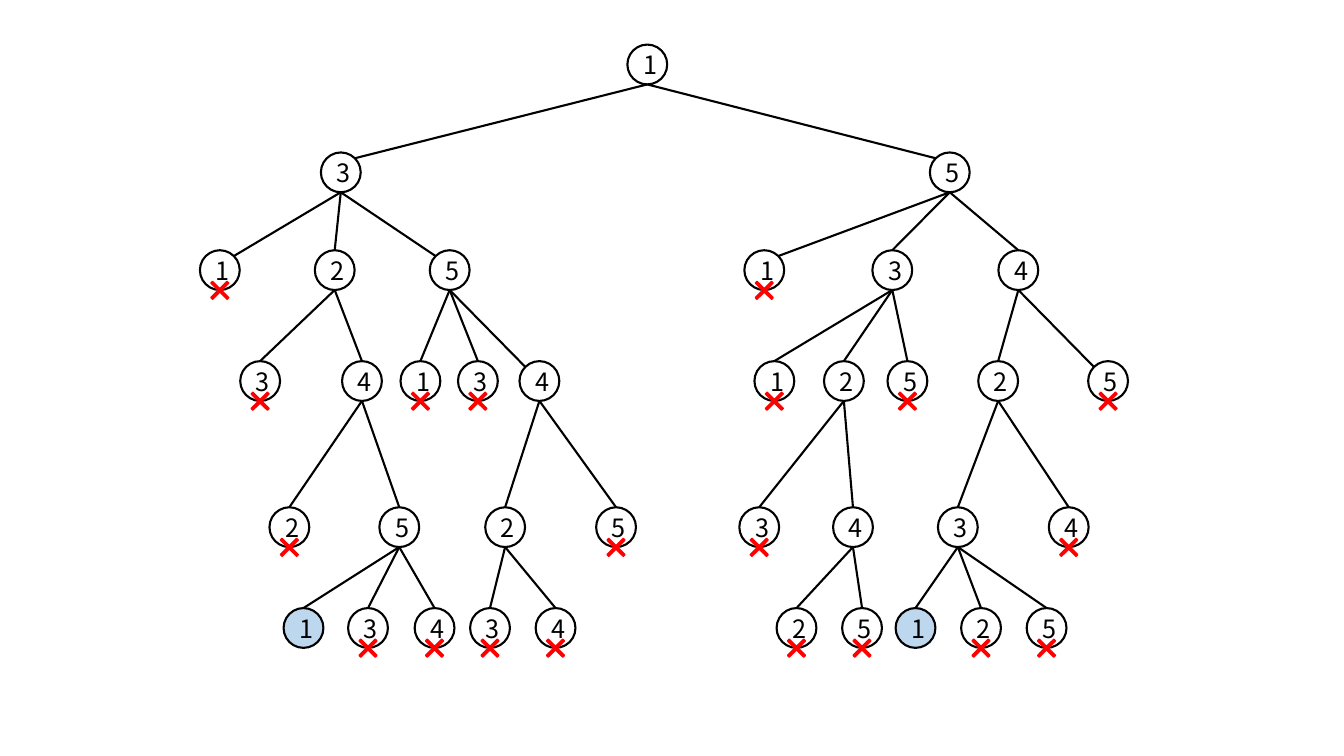
from dataclasses import dataclass
from math import sqrt

from lxml import etree
from pptx import Presentation
from pptx.dml.color import RGBColor
from pptx.enum.shapes import MSO_CONNECTOR, MSO_SHAPE
from pptx.enum.text import MSO_ANCHOR, PP_ALIGN
from pptx.oxml.ns import qn
from pptx.util import Inches, Pt

CIRCLE = MSO_SHAPE.OVAL
CROSS = MSO_SHAPE.MATH_MULTIPLY
STRAIGHT = MSO_CONNECTOR.STRAIGHT
MIDDLE = MSO_ANCHOR.MIDDLE
CENTER = PP_ALIGN.CENTER
TOP_SITE = 0
BLANK_LAYOUT = 6

# The page is a grid of square cells; every length below is in cells.
COLUMNS, ROWS = 133.3, 75
LEVEL_ROWS = (6.4, 17.1, 26.8, 37.8, 52.3, 62.3)
NODE_SIZE = 3.95
CROSS_SIZE = 3.1
CROSS_DROP = 2


@dataclass(frozen=True)
class Theme:
    font: str = "Noto Sans CJK KR"
    label_size: float = 18
    ink: str = "000000"
    paper: str = "FFFFFF"
    goal: str = "BDD7EE"
    pruned: str = "FF0000"
    line_width: float = 1.5
    cross_width: float = 1
    cross_thickness: float = 0.079


@dataclass
class Node:
    """A tree node; a diagonal one meets its link at 45 degrees, not at its top."""
    label: str
    column: float
    children: tuple = ()
    diagonal: bool = False


TREE = Node("1", 64.2, (
    Node("3", 33.8, (
        Node("1", 21.8, diagonal=True),
        Node("2", 33.2, (
            Node("3", 25.8),
            Node("4", 35.9, (
                Node("2", 28.7),
                Node("5", 39.6, (
                    Node("1", 30.1), Node("3", 36.5), Node("4", 43.1))),
            )),
        )),
        Node("5", 44.6, (
            Node("1", 41.7),
            Node("3", 47.4),
            Node("4", 53.5, (
                Node("2", 50.1, (Node("3", 48.6), Node("4", 55.1))),
                Node("5", 61.1),
            ), diagonal=True),
        ), diagonal=True),
    ), diagonal=True),
    Node("5", 94.2, (
        Node("1", 75.8, diagonal=True),
        Node("3", 88.5, (
            Node("1", 76.8),
            Node("2", 83.7, (
                Node("3", 75.3),
                Node("4", 84.6, (Node("2", 79), Node("5", 85.5))),
            )),
            Node("5", 90),
        )),
        Node("4", 101, (
            Node("2", 99, (
                Node("3", 95, (
                    Node("1", 90.8), Node("2", 97.3), Node("5", 103.8))),
                Node("4", 106),
            )),
            Node("5", 109.9, diagonal=True),
        )),
    ), diagonal=True),
))


def write_text(shape, text, *, font, size, color):
    frame = shape.text_frame
    frame.vertical_anchor = MIDDLE
    para = frame.paragraphs[0]
    para.alignment = CENTER
    span = para.add_run()
    span.text = text
    span.font.name = font
    span.font.size = Pt(size)
    span.font.color.rgb = RGBColor.from_string(color)


class TreePage:
    def __init__(self, deck, theme):
        self.theme = theme
        self.cell_width = deck.slide_width / COLUMNS
        self.cell_height = deck.slide_height / ROWS
        self.page = deck.slides.add_slide(deck.slide_layouts[BLANK_LAYOUT])

    def point(self, column, row):
        return round(column * self.cell_width), round(row * self.cell_height)

    def shape(self, kind, column, row, size, *, fill, line, width):
        """Add a shape centred on a grid point."""
        box = self.page.shapes.add_shape(
            kind, *self.point(column - size / 2, row - size / 2),
            *self.point(size, size))
        box.shadow.inherit = False
        box.fill.solid()
        box.fill.fore_color.rgb = RGBColor.from_string(fill)
        box.line.color.rgb = RGBColor.from_string(line)
        box.line.width = Pt(width)
        return box

    def circle(self, node, row, fill):
        theme = self.theme
        circle = self.shape(CIRCLE, node.column, row, NODE_SIZE, fill=fill,
                            line=theme.ink, width=theme.line_width)
        write_text(circle, node.label, font=theme.font,
                   size=theme.label_size, color=theme.ink)
        return circle

    def cross(self, node, row):
        theme = self.theme
        cross = self.shape(CROSS, node.column, row + CROSS_DROP, CROSS_SIZE,
                           fill=theme.pruned, line=theme.pruned,
                           width=theme.cross_width)
        cross.adjustments[0] = theme.cross_thickness

    def link(self, node, row, circle, parent, parent_row):
        radius = NODE_SIZE / 2
        column, top = node.column, row - radius
        if node.diagonal:
            reach = radius / sqrt(2)
            column += reach if parent.column > node.column else -reach
            top = row - reach
        link = self.page.shapes.add_connector(
            STRAIGHT, *self.point(column, top),
            *self.point(parent.column, parent_row + radius))
        if not node.diagonal:
            link.begin_connect(circle, TOP_SITE)
        link.line.color.rgb = RGBColor.from_string(self.theme.ink)
        link.line.width = Pt(self.theme.line_width)
        etree.SubElement(link._element.spPr, qn("a:effectLst"))

    def branch(self, node, level=0, parent=None):
        """Draw a node and all below it; a leaf is a closed tour or pruned."""
        row = LEVEL_ROWS[level]
        is_goal = level == len(LEVEL_ROWS) - 1 and node.label == TREE.label
        circle = self.circle(
            node, row, self.theme.goal if is_goal else self.theme.paper)
        if parent:
            self.link(node, row, circle, parent, LEVEL_ROWS[level - 1])
        if not node.children and not is_goal:
            self.cross(node, row)
        for child in node.children:
            self.branch(child, level + 1, node)


def main():
    deck = Presentation()
    deck.slide_width = Inches(13.33)
    deck.slide_height = Inches(7.5)
    TreePage(deck, Theme()).branch(TREE)
    deck.save("out.pptx")


if __name__ == "__main__":
    main()
